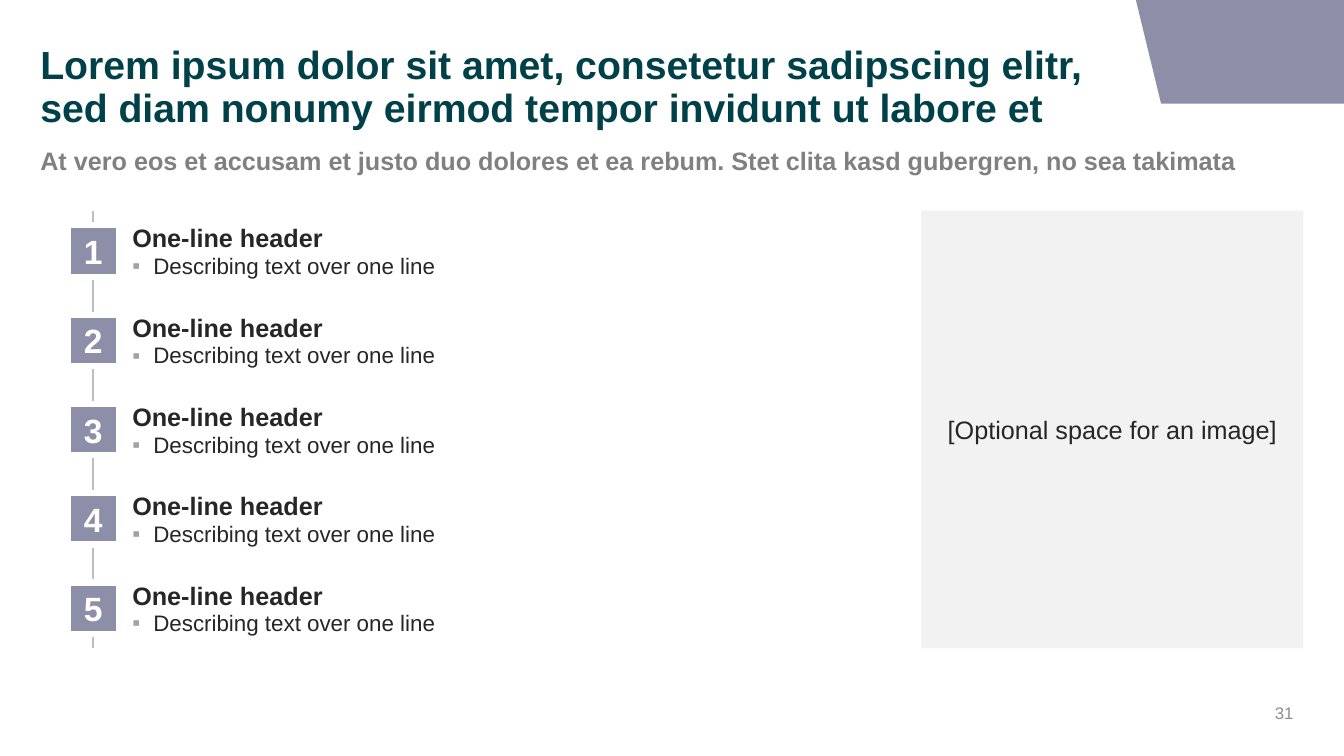
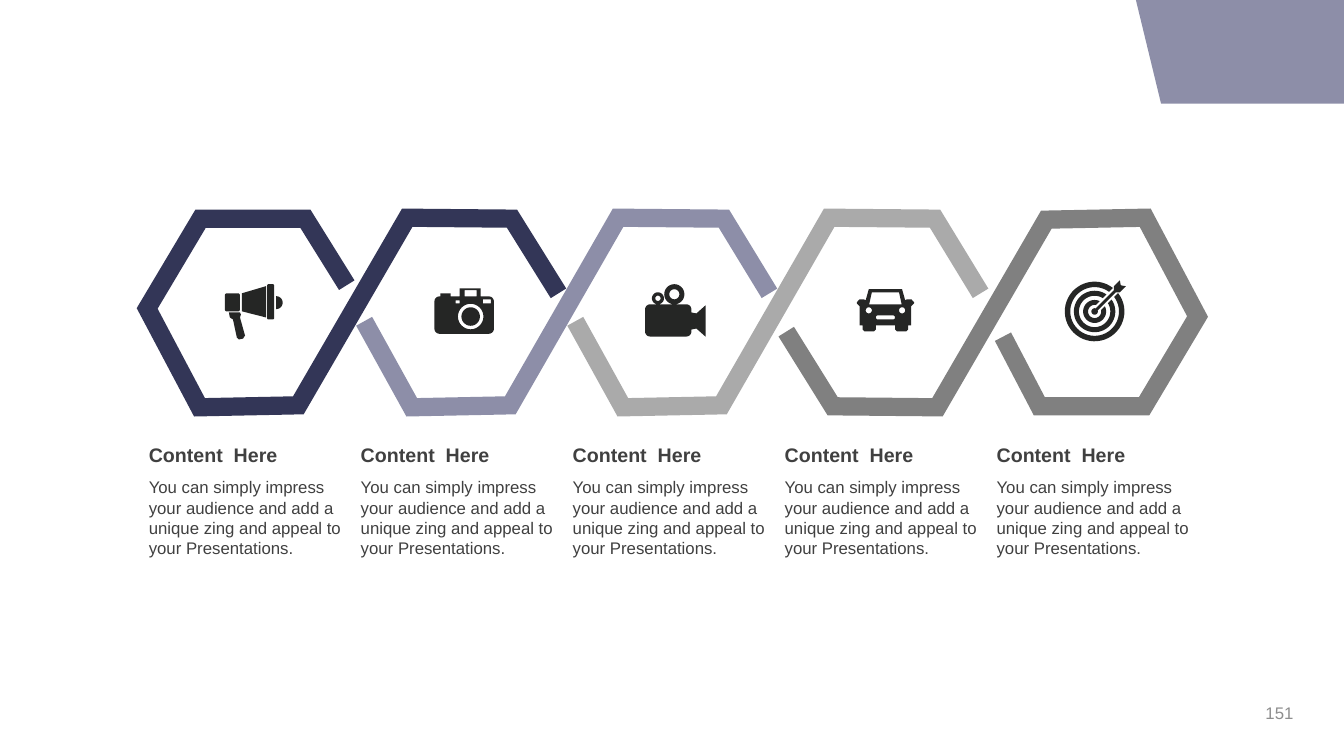
import math
from dataclasses import dataclass

import pptx
import pptx.dml.color
import pptx.enum.shapes
import pptx.enum.text
import pptx.oxml
import pptx.oxml.ns
import pptx.util

Pt = pptx.util.Pt
ANCHOR = pptx.enum.text.MSO_ANCHOR
ALIGN = pptx.enum.text.PP_ALIGN
RECTANGLE = pptx.enum.shapes.MSO_SHAPE.RECTANGLE


@dataclass(frozen=True)
class Theme:
    font: str = "Arial"
    white: str = "FFFFFF"
    band: str = "8D8EA8"
    badge: str = "8D8EA7"
    title: str = "004149"
    subtitle: str = "808080"
    body: str = "252625"
    caption: str = "404040"
    page_number: str = "8E8E8E"
    rail: str = "BBBEC2"
    bullet: str = "A2A2A2"
    panel: str = "F2F2F2"
    links: tuple = ("333657", "8D8EA8", "AAAAAA", "808080")
    title_size: float = 28
    number_size: float = 24
    header_size: float = 18
    body_size: float = 16
    caption_size: float = 14
    small_size: float = 12


THEME = Theme()


def rgb(value):
    return pptx.dml.color.RGBColor.from_string(value)


def add_effect_free(shape):
    shape._element.spPr.append(pptx.oxml.parse_xml(
        f'<a:effectLst {pptx.oxml.ns.nsdecls("a")}/>'))


def add_run(paragraph, text, size, color, bold=False):
    run = paragraph.add_run()
    run.text = text
    run.font.name = THEME.font
    run.font.size = Pt(size)
    run.font.bold = bold
    run.font.color.rgb = rgb(color)


def set_frame(shape, anchor, insets):
    """Prepare a text frame and return its first paragraph."""
    frame = shape.text_frame
    frame.word_wrap = True
    frame.vertical_anchor = anchor
    (frame.margin_left, frame.margin_top,
     frame.margin_right, frame.margin_bottom) = [Pt(inset) for inset in insets]
    return frame.paragraphs[0]


def add_text_box(slide, box, anchor=ANCHOR.MIDDLE, insets=(7.2, 3.6, 7.2, 3.6)):
    shape = slide.shapes.add_textbox(*[Pt(length) for length in box])
    return shape, set_frame(shape, anchor, insets)


def add_rectangle(slide, box, fill):
    shape = slide.shapes.add_shape(RECTANGLE, *[Pt(length) for length in box])
    shape.shadow.inherit = False
    shape.fill.solid()
    shape.fill.fore_color.rgb = rgb(fill)
    shape.line.fill.background()
    return shape


def add_outline(slide, left, top, contours, close=True):
    """Build one freeform; contours inside others become holes."""
    placed = [[(Pt(left + x), Pt(top + y)) for x, y in contour] for contour in contours]
    builder = slide.shapes.build_freeform(*placed[0][0], scale=1.0)
    for index, contour in enumerate(placed):
        if index:
            builder.move_to(*contour[0])
        builder.add_line_segments(contour[1:], close=close)
    shape = builder.convert_to_shape()
    shape.shadow.inherit = False
    return shape


def add_solid_outline(slide, left, top, contours, color):
    shape = add_outline(slide, left, top, contours)
    shape.fill.solid()
    shape.fill.fore_color.rgb = rgb(color)
    shape.line.fill.background()


def arc(cx, cy, radius, start=0, end=360, steps=32):
    angles = [math.radians(start + (end - start) * i / steps) for i in range(steps + 1)]
    return [(cx + radius * math.cos(a), cy + radius * math.sin(a)) for a in angles]


def rounded(left, top, width, height, radius):
    right, bottom = left + width - radius, top + height - radius
    left, top = left + radius, top + radius
    corners = [(right, bottom), (left, bottom), (left, top), (right, top)]
    return [point for i, (x, y) in enumerate(corners)
            for point in arc(x, y, radius, 90 * i, 90 * i + 90, 6)]


def block(left, top, width, height):
    return [(left, top), (left + width, top),
            (left + width, top + height), (left, top + height)]


def open_ring(cx, cy, outer, inner, gap=2.6):
    """A ring cut open towards the upper right."""
    edges = []
    for radius in (outer, inner):
        half = math.degrees(math.asin(gap / radius))
        edges.append(arc(cx, cy, radius, half - 45, 315 - half, 48))
    return edges[0] + edges[1][::-1]


def megaphone():
    handle = [(10.8, 20.2), (11.5, 21.6), (10.8, 23.8), (14.4, 36.7), (13, 38.9),
              (10, 39.5), (8.6, 38.2), (5.8, 25.2), (3.6, 23.8), (2.9, 20.2)]
    bell = [(29.5, 1.4), (29.5, 23.8), (12.2, 19.4), (12.2, 6.5)]
    return [handle, bell, rounded(0, 6.5, 10.8, 13, 1.5),
            rounded(30.2, 0, 5, 25.2, 1), arc(36.7, 13.2, 4.6, -90, 90)]


def camera():
    return [rounded(0, 5.8, 42.5, 26.7, 3.6), block(18, 0, 15.1, 5.8),
            block(21.6, 1.4, 8.6, 4.4), block(4.3, 3.6, 7.2, 2.2),
            block(15.1, 8.6, 2.9, 2.2), block(34.6, 7.9, 5.8, 2.9),
            arc(25.9, 20.2, 9.1), arc(25.9, 20.2, 6.6)]


def film_camera():
    nose = [(33.1, 20.2), (36.7, 20.9), (43.2, 15.1),
            (43.2, 37.5), (36.7, 31.7), (33.1, 32.4)]
    return [rounded(0, 14.4, 33.1, 23, 3.6), nose,
            arc(9.2, 10.1, 4.3), arc(9.2, 10.1, 1.9),
            arc(20.9, 7.2, 7.2), arc(20.9, 7.2, 3.6)]


def car():
    width = 41
    half = [(32.4, 0), (34.6, 7.9), (36, 7.2), (39, 7.2), (41, 9.4), (41, 10.1),
            (38.9, 12.2), (38.9, 25.9), (36.7, 25.9), (36.7, 28.8), (35.3, 30.2),
            (28.8, 30.2), (27.4, 28.8), (27.4, 25.9)]
    body = half + [(width - x, y) for x, y in reversed(half)]
    window = [(10.8, 2.2), (8.9, 10.8), (32.1, 10.8), (30.2, 2.2)]
    return [body, window, arc(8.6, 15.1, 2.2), arc(width - 8.6, 15.1, 2.2),
            rounded(13.7, 18.7, 13.6, 2.9, 1.3)]


def target():
    cx, cy = 20.9, 22.3
    arrow = [(21.6, 20.2), (34.6, 7.2), (34.6, 4.3), (38.9, 0), (39.6, 3.6),
             (43.2, 4.3), (38.9, 8.6), (36, 8.6), (23, 21.6)]
    rings = [(21.3, 17.4), (14.8, 11.2), (8.2, 4.7)]
    return [open_ring(cx, cy, *radii) for radii in rings] + [arc(cx, cy, 2.3), arrow]


def add_slide(presentation, page_number):
    """Add a slide with the corner band and the page number."""
    slide = presentation.slides.add_slide(presentation.slide_layouts[6])
    add_solid_outline(slide, 811.4, 0,
                      [[(148.6, 0), (148.6, 74), (18, 74), (0, 0)]], THEME.band)
    _, paragraph = add_text_box(slide, (715, 500.4, 216, 17.3))
    paragraph.alignment = ALIGN.RIGHT
    add_run(paragraph, page_number, THEME.small_size, THEME.page_number)
    return slide


def add_heading(slide, title, subtitle):
    _, paragraph = add_text_box(slide, (28.8, 31.7, 782.6, 62.6), insets=(0, 0, 0, 0))
    paragraph.line_spacing = 0.9
    add_run(paragraph, title, THEME.title_size, THEME.title, True)
    _, paragraph = add_text_box(slide, (28.8, 102.2, 903, 24.5), insets=(0, 0, 0, 0))
    add_run(paragraph, subtitle, THEME.header_size, THEME.subtitle, True)


def add_bullet(paragraph, indent):
    properties = paragraph._p.get_or_add_pPr()
    properties.set("marL", str(Pt(indent)))
    properties.set("indent", str(-Pt(indent)))
    namespace = pptx.oxml.ns.nsdecls("a")
    for xml in (f'<a:buClr {namespace}><a:srgbClr val="{THEME.bullet}"/></a:buClr>',
                f'<a:buFont {namespace} typeface="{THEME.font}"/>',
                f'<a:buChar {namespace} char="▪"/>'):
        properties.append(pptx.oxml.parse_xml(xml))


def add_step(slide, box, number, header, detail):
    left, top, _, height = box
    shape, paragraph = add_text_box(slide, box, insets=(28, 0, 7.2, 0))
    add_run(paragraph, header, THEME.header_size, THEME.body, True)
    paragraph = shape.text_frame.add_paragraph()
    add_bullet(paragraph, 15)
    paragraph.line_spacing = 0.9
    paragraph.space_before = Pt(1.8)
    add_run(paragraph, detail, THEME.body_size, THEME.body)

    side = 36.7
    badge = add_rectangle(slide, (left - side / 2, top + (height - side) / 2, side, side),
                          THEME.badge)
    badge.line.color.rgb = rgb(THEME.white)
    badge.line.width = Pt(4.5)
    paragraph = set_frame(badge, ANCHOR.MIDDLE, (0, 0, 0, 0))
    paragraph.alignment = ALIGN.CENTER
    add_run(paragraph, str(number), THEME.number_size, THEME.white, True)


def add_steps(slide, box, steps):
    left, top, width, height = box
    rail = slide.shapes.add_connector(pptx.enum.shapes.MSO_CONNECTOR.STRAIGHT,
                                      Pt(left), Pt(top), Pt(left), Pt(top + height))
    rail.line.color.rgb = rgb(THEME.rail)
    rail.line.width = Pt(1.75)
    add_effect_free(rail)
    step_height = 57
    pitch = (height - step_height) / (len(steps) - 1)
    for index, (header, detail) in enumerate(steps):
        step_box = (left, top + index * pitch, width, step_height)
        add_step(slide, step_box, index + 1, header, detail)


def add_image_panel(slide, box, text):
    panel = add_rectangle(slide, box, THEME.panel)
    paragraph = set_frame(panel, ANCHOR.MIDDLE, (7.2, 3.6, 7.2, 3.6))
    paragraph.alignment = ALIGN.CENTER
    add_run(paragraph, text, THEME.header_size, THEME.body)


def add_hexagon_chain(slide, left, top):
    """Four interlocking strokes that together draw five hexagons."""
    width, height = 293.8, 135.4
    opening = [(142.6, 48.2), (113, 0.7), (38.2, 0.7), (0, 64.8), (37.4, height),
               (108, 134), (185.8, 0), (260.6, 0.7), (width, 54)]
    middle = [(0, 74), (34, height), (104.4, 134), (181.4, 0), (257, 0.7), (289.5, 54)]
    closing = [(width - x, height - y) for x, y in [(139, 50.4)] + opening[1:]]
    strokes = [(0, opening), (155, middle), (305.8, middle), (456.5, closing)]
    for (offset, points), color in zip(strokes, THEME.links):
        stroke = add_outline(slide, left + offset, top, [points], close=False)
        stroke.fill.background()
        stroke.line.color.rgb = rgb(color)
        stroke.line.width = Pt(13)
        stroke.line._get_or_add_ln().append(pptx.oxml.parse_xml(
            f'<a:miter {pptx.oxml.ns.nsdecls("a")} lim="800000"/>'))


def add_caption(slide, left, top, header, detail):
    width, header_height = 155.5, 24.5
    _, paragraph = add_text_box(slide, (left, top, width, header_height))
    add_run(paragraph, header, THEME.caption_size, THEME.caption, True)
    _, paragraph = add_text_box(slide, (left, top + header_height, width, 65.5), ANCHOR.TOP)
    add_run(paragraph, detail, THEME.small_size, THEME.caption)


def build_steps_slide(presentation):
    slide = add_slide(presentation, "31")
    add_heading(slide,
                "Lorem ipsum dolor sit amet, consetetur sadipscing elitr, "
                "sed diam nonumy eirmod tempor invidunt ut labore et",
                "At vero eos et accusam et justo duo dolores et ea rebum. "
                "Stet clita kasd gubergren, no sea takimata")
    add_steps(slide, (66.5, 150.8, 591, 312.2),
              [("One-line header", "Describing text over one line")] * 5)
    add_image_panel(slide, (658, 150.5, 273, 312.5), "[Optional space for an image]")


def build_hexagon_slide(presentation):
    slide = add_slide(presentation, "151")
    add_hexagon_chain(slide, 105.1, 155.5)
    for column in range(5):
        add_caption(slide, 99.2 + column * 151.4, 312.7, "Content  Here",
                    "You can simply impress your audience and add a unique zing "
                    "and appeal to your Presentations.")
    icons = [(160.6, 203, megaphone), (310.3, 205.9, camera), (460.8, 203, film_camera),
             (612, 206.6, car), (761, 200.2, target)]
    for left, top, icon in icons:
        add_solid_outline(slide, left, top, icon(), THEME.body)


def main():
    presentation = pptx.Presentation()
    presentation.slide_width, presentation.slide_height = Pt(960), Pt(540)
    build_steps_slide(presentation)
    build_hexagon_slide(presentation)
    presentation.save("out.pptx")


if __name__ == "__main__":
    main()
